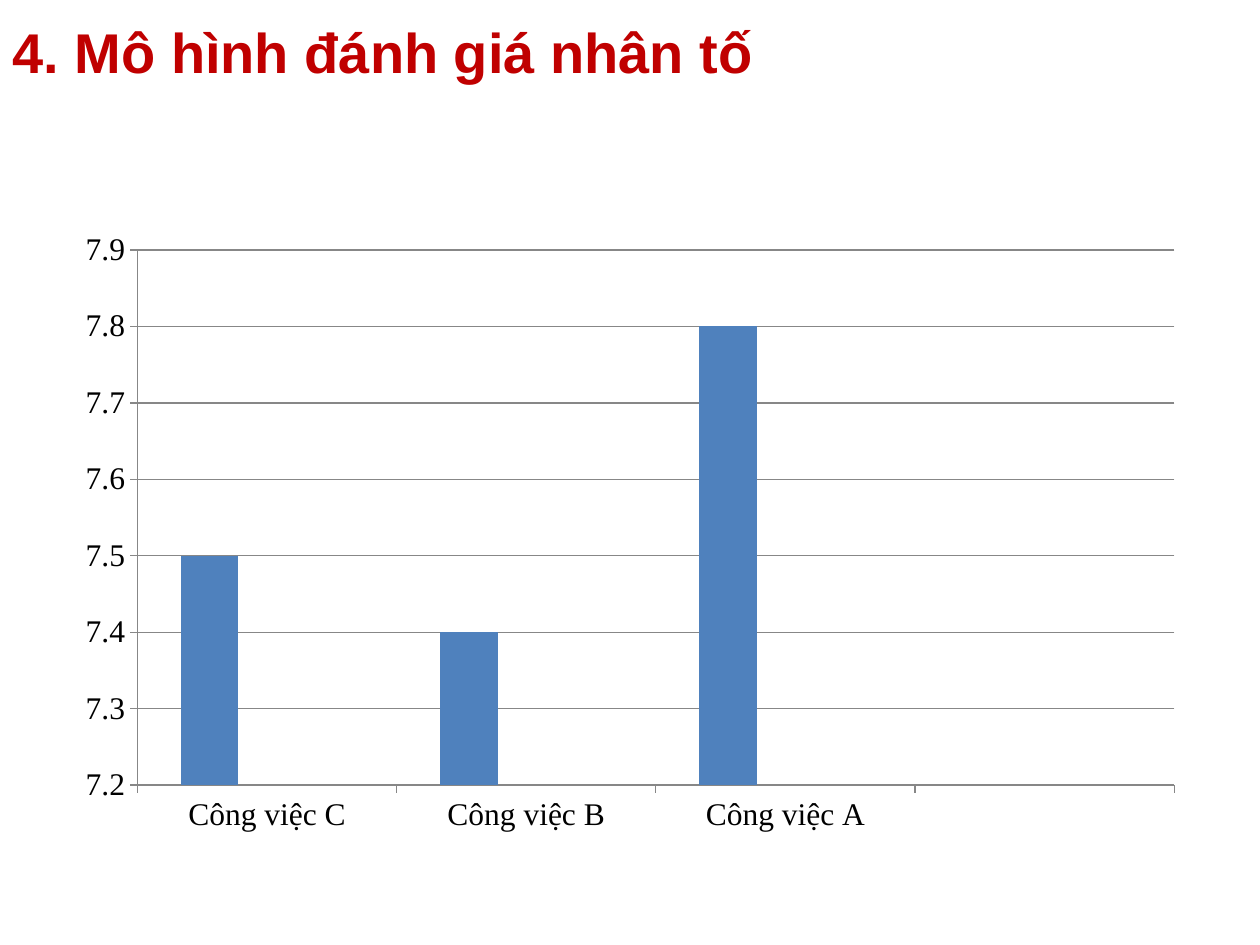
"""Build a slide with a title and a clustered column chart of job scores."""
from pptx import Presentation
from pptx.chart.data import CategoryChartData
from pptx.dml.color import RGBColor
from pptx.enum.chart import XL_CHART_TYPE, XL_TICK_MARK
from pptx.enum.text import MSO_ANCHOR, PP_ALIGN
from pptx.util import Emu, Pt

COLUMN_CLUSTERED = XL_CHART_TYPE.COLUMN_CLUSTERED
OUTSIDE, NO_TICK = XL_TICK_MARK.OUTSIDE, XL_TICK_MARK.NONE
BOTTOM, LEFT = MSO_ANCHOR.BOTTOM, PP_ALIGN.LEFT
EMU_PER_PX = 9144
TITLE_ONLY = 5


def px(length):
    return Emu(length * EMU_PER_PX)


def color(value):
    return RGBColor.from_string(value)


def apply(target, values):
    for name, value in values.items():
        setattr(target, name, value)


class SlideBuilder:
    title_font = {"name": "Arial", "size": Pt(32), "bold": True}
    chart_font = {"name": "Times New Roman", "size": Pt(18)}
    title_color = "C00000"
    text_color = "000000"
    line_color = "878787"
    series_colors = ("4F81BD", "C0504D", "9BBB59")

    def __init__(self, presentation):
        self.slide = presentation.slides.add_slide(presentation.slide_layouts[TITLE_ONLY])

    def title(self, text, left, top, width, height):
        shape = self.slide.shapes.title
        apply(shape, {"left": px(left), "top": px(top), "width": px(width), "height": px(height)})
        apply(shape.text_frame, {"text": text, "word_wrap": True, "vertical_anchor": BOTTOM})
        paragraph = shape.text_frame.paragraphs[0]
        paragraph.alignment = LEFT
        font = paragraph.runs[0].font
        apply(font, self.title_font)
        font.color.rgb = color(self.title_color)

    def column_chart(self, categories, series, left, top, width, height):
        data = CategoryChartData()
        data.categories = categories
        for name, values in series.items():
            data.add_series(name, values)
        chart = self.slide.shapes.add_chart(
            COLUMN_CLUSTERED, px(left), px(top), px(width), px(height), data
        ).chart
        apply(chart, {"has_legend": False, "has_title": False})
        apply(chart.font, self.chart_font)
        chart.font.color.rgb = color(self.text_color)
        plot = chart.plots[0]
        apply(plot, {"gap_width": 150, "overlap": 0, "vary_by_categories": False})
        for item, fill_color in zip(plot.series, self.series_colors):
            item.format.fill.solid()
            item.format.fill.fore_color.rgb = color(fill_color)
        self.axes(chart)

    def axes(self, chart):
        value_axis = chart.value_axis
        apply(value_axis, {"minimum_scale": 7.2, "maximum_scale": 7.9, "major_unit": 0.1,
                           "has_major_gridlines": True})
        for axis in (chart.category_axis, value_axis):
            apply(axis, {"major_tick_mark": OUTSIDE, "minor_tick_mark": NO_TICK})
            apply(axis.tick_labels, {"number_format": "General", "number_format_is_linked": False})
        for part in (chart.category_axis, value_axis, value_axis.major_gridlines):
            part.format.line.color.rgb = color(self.line_color)
            part.format.line.width = Pt(0.75)


def main():
    presentation = Presentation()
    apply(presentation, {"slide_width": px(1000), "slide_height": px(750)})
    builder = SlideBuilder(presentation)
    builder.column_chart(
        ["Công việc C", "Công việc B", "Công việc A", ""],
        {
            "Series 1": [7.5, 7.4, 7.8, None],
            "Series 2": [None] * 4,
            "Series 3": [None] * 4,
        },
        50, 175, 900, 495,
    )
    builder.title("4. Mô hình đánh giá nhân tố", 0, 0, 900, 72)
    presentation.save("out.pptx")


if __name__ == "__main__":
    main()
